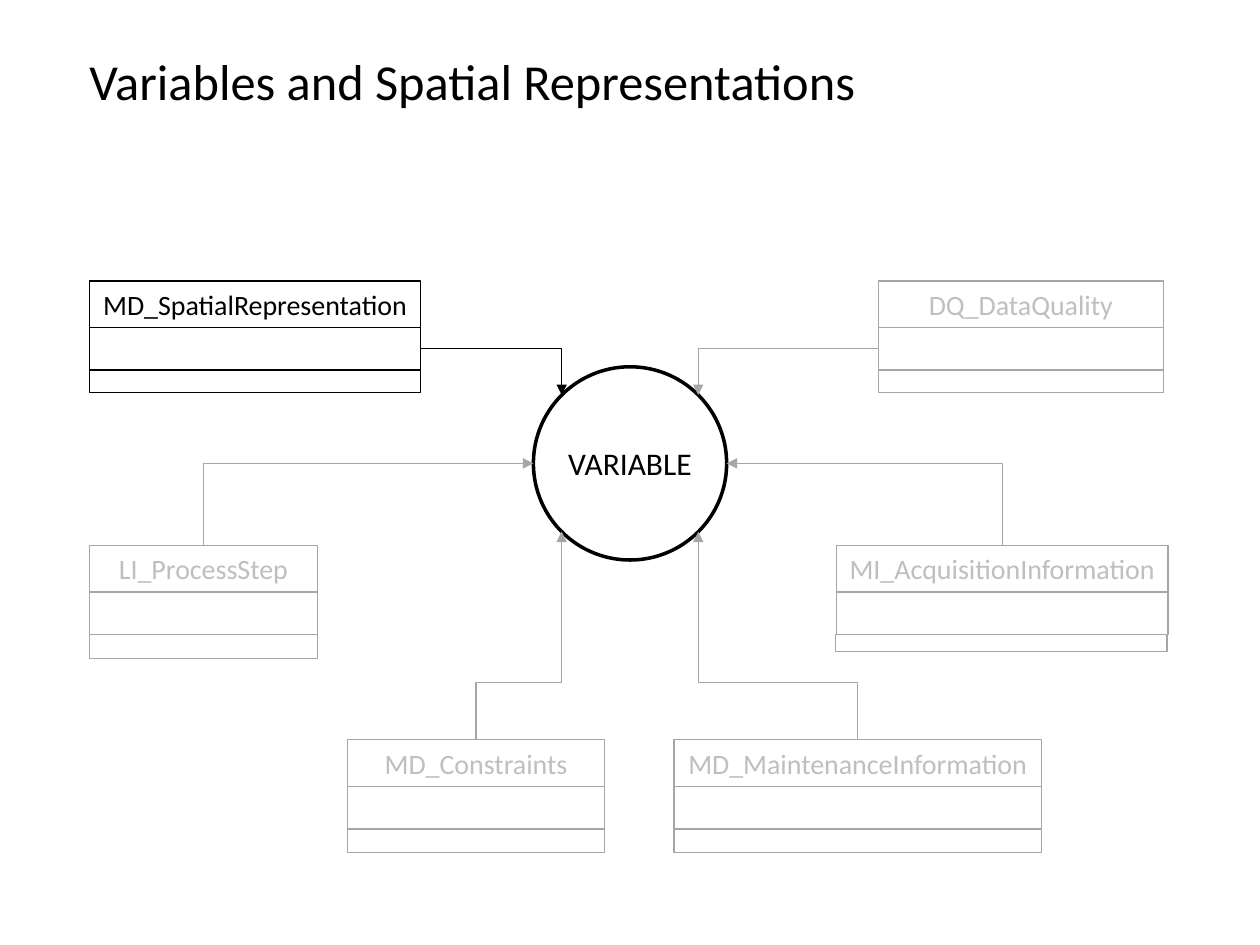
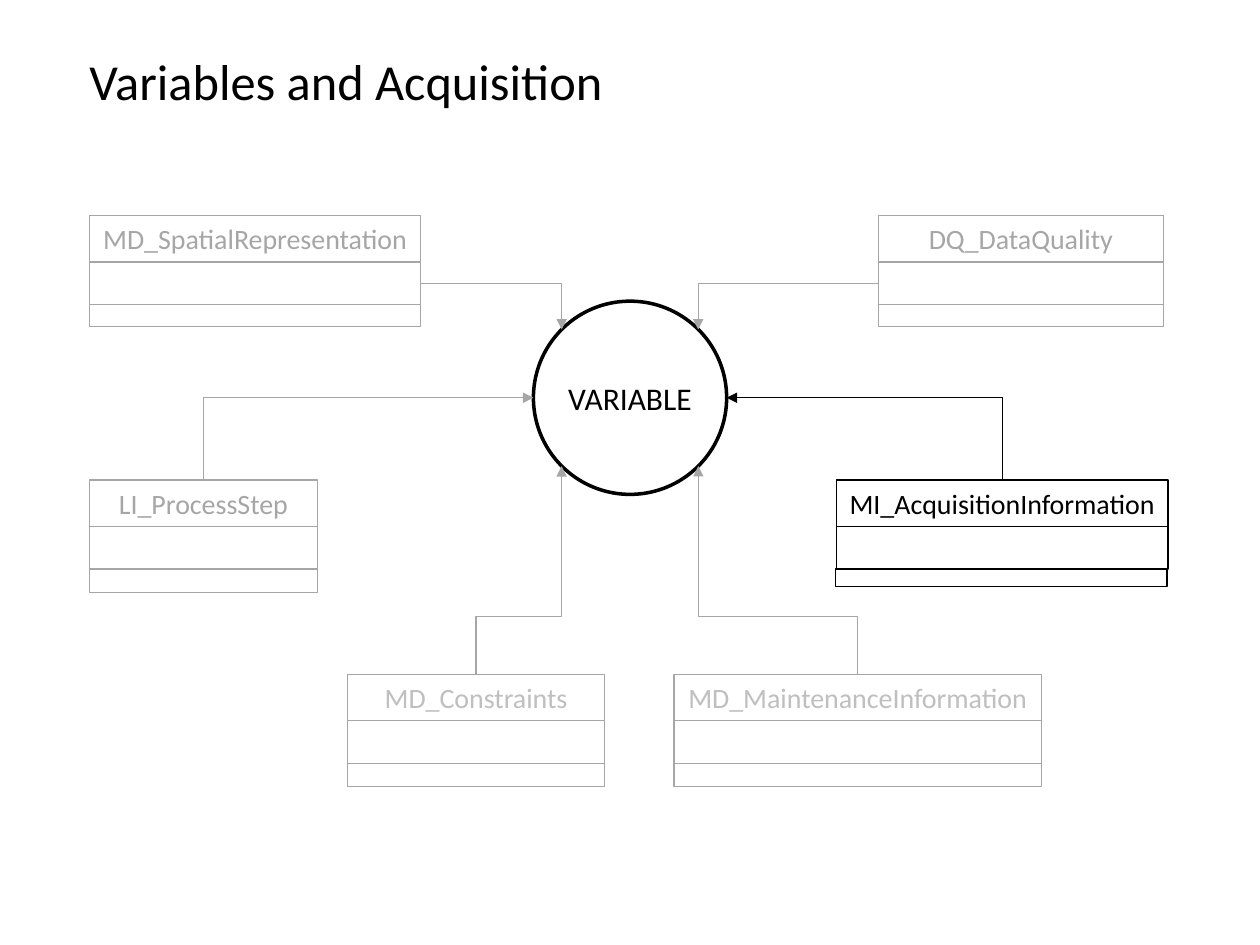
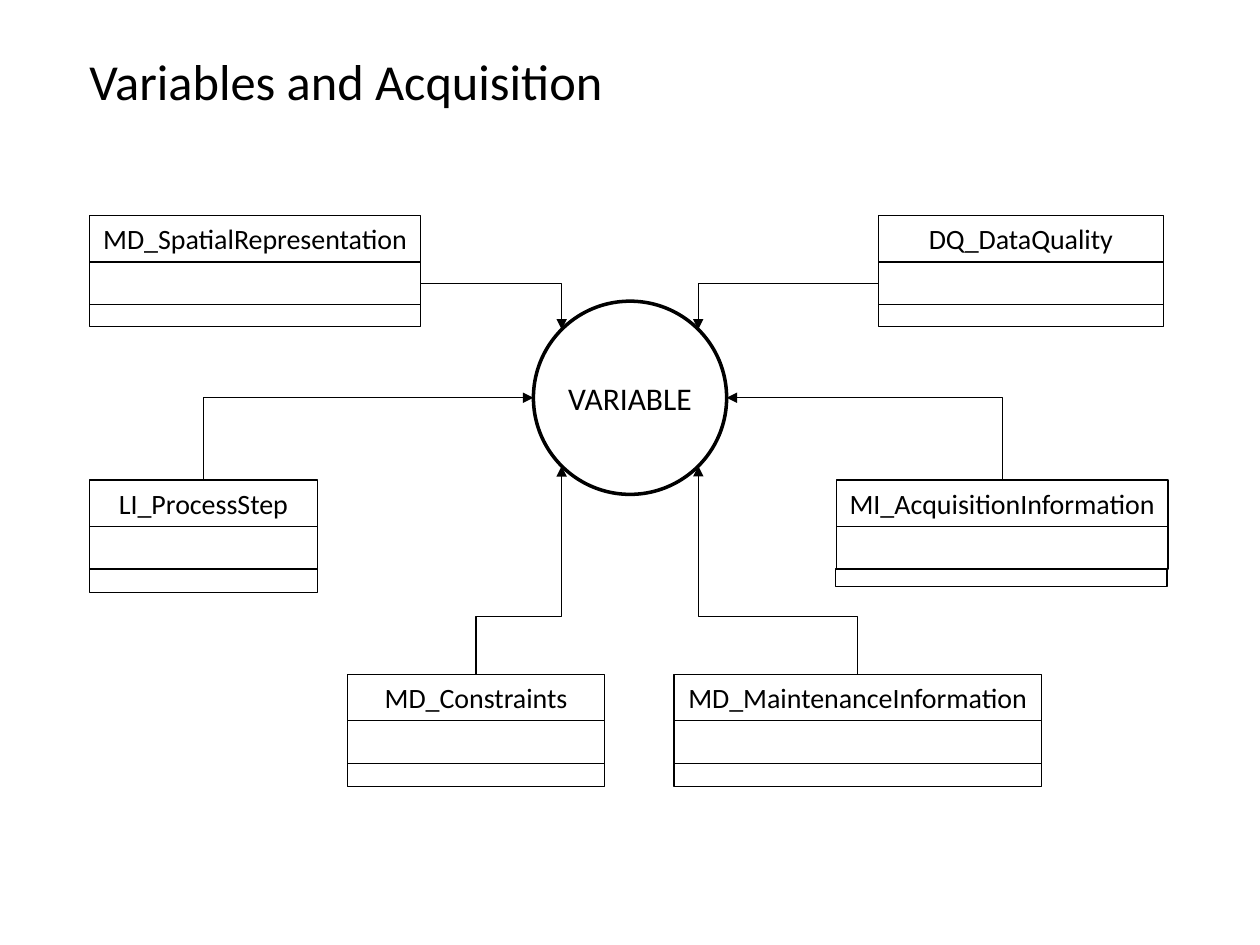
from math import sqrt

from lxml.etree import SubElement
from pptx import Presentation
from pptx.dml.color import RGBColor
from pptx.enum.shapes import MSO_CONNECTOR as Connector, MSO_SHAPE as Shape
from pptx.enum.text import MSO_ANCHOR as Anchor, MSO_AUTO_SIZE as AutoSize, PP_ALIGN as Align
from pptx.oxml.ns import qn
from pptx.util import Pt

BLACK = RGBColor(0x00, 0x00, 0x00)
GRAY = RGBColor(0xA6, 0xA6, 0xA6)
PALE = RGBColor(0xBF, 0xBF, 0xBF)
FONT = "Calibri"

# Class boxes: name -> left, top, width, footer height, footer shift
CLASSES = {
    "LI_ProcessStep": (51.1, 311.8, 130.3, 13.5, 0),
    "DQ_DataQuality": (502, 160.6, 162.8, 12.8, 0),
    "MD_SpatialRepresentation": (51.1, 160.6, 189.4, 12.8, 0),
    "MI_AcquisitionInformation": (478, 311.8, 189.4, 9.8, -0.5),
    "MD_MaintenanceInformation": (385.2, 422.8, 209.8, 13.5, 0),
    "MD_Constraints": (198.6, 422.8, 147, 13.5, 0),
}
HEADER_H, BODY_H = 26.6, 24.3

# Arrows: class -> side it leaves from, connection site on the circle
ARROWS = {
    "MD_SpatialRepresentation": ("right", 1),
    "LI_ProcessStep": ("top", 2),
    "MI_AcquisitionInformation": ("top", 6),
    "DQ_DataQuality": ("left", 7),
    "MD_MaintenanceInformation": ("top", 5),
    "MD_Constraints": ("top", 3),
}
RECT_SITES = {"top": 0, "left": 1, "right": 3}
DIAGONAL = sqrt(0.5)
CIRCLE_SITES = {1: (-DIAGONAL, -DIAGONAL), 2: (-1, 0), 3: (-DIAGONAL, DIAGONAL),
                5: (DIAGONAL, DIAGONAL), 6: (1, 0), 7: (DIAGONAL, -DIAGONAL)}
CENTER_X, CENTER_Y, RADIUS = 360, 264.8, 55.2

# Slides: title, upward shift of the diagram, highlighted classes, pale labels
SLIDES = [
    ("Variables and Spatial Representations", 0,
     {"MD_SpatialRepresentation"}, set(CLASSES)),
    ("Variables and Acquisition", 37.5,
     {"MI_AcquisitionInformation"}, {"MD_MaintenanceInformation", "MD_Constraints"}),
    ("Variables and Acquisition", 37.5, set(CLASSES), set()),
]


def write(frame, text, size, color, align):
    frame.text = text
    paragraph = frame.paragraphs[0]
    paragraph.alignment = align
    font = paragraph.runs[0].font
    font.name, font.size, font.color.rgb = FONT, Pt(size), color


def add_outline(shapes, preset, left, top, width, height, color, weight=0.75):
    outline = shapes.add_shape(preset, Pt(left), Pt(top), Pt(width), Pt(height))
    outline.shadow.inherit = False
    outline.fill.background()
    outline.line.color.rgb = color
    outline.line.width = Pt(weight)
    return outline


def add_title(slide, text):
    title = slide.shapes.title
    title.left, title.top, title.width, title.height = Pt(43.9), Pt(23.8), Pt(458), Pt(43.9)
    frame = title.text_frame
    write(frame, text, 28.8, BLACK, Align.LEFT)
    frame.vertical_anchor = Anchor.MIDDLE
    frame.auto_size = AutoSize.NONE


def add_variable(slide, center_y):
    circle = add_outline(slide.shapes, Shape.OVAL, CENTER_X - RADIUS, center_y - RADIUS,
                         2 * RADIUS, 2 * RADIUS, BLACK, 2)
    frame = circle.text_frame
    frame.margin_left = frame.margin_right = 0
    write(frame, "VARIABLE", 18, BLACK, Align.CENTER)
    return circle


def add_class(slide, name, shift, line_color, label_color):
    left, top, width, footer_h, footer_shift = CLASSES[name]
    top -= shift
    shapes = slide.shapes.add_group_shape().shapes
    header = add_outline(shapes, Shape.RECTANGLE, left, top, width, HEADER_H, line_color)
    frame = header.text_frame
    write(frame, name, 16, label_color, Align.CENTER)
    frame.vertical_anchor = Anchor.TOP
    frame.word_wrap = False
    frame.auto_size = AutoSize.SHAPE_TO_FIT_TEXT
    top += HEADER_H
    body = add_outline(shapes, Shape.RECTANGLE, left, top, width, BODY_H, line_color)
    add_outline(shapes, Shape.RECTANGLE, left + footer_shift, top + BODY_H,
                width, footer_h, line_color)
    return header, body


def add_arrow(slide, name, shift, header, body, circle, color):
    side, site = ARROWS[name]
    left, top, width = CLASSES[name][:3]
    upward = side == "top"
    if upward:
        x1, y1 = left + width / 2, top - shift
    else:
        x1 = left + width if side == "right" else left
        y1 = top - shift + HEADER_H + BODY_H / 2
    unit_x, unit_y = CIRCLE_SITES[site]
    x2, y2 = CENTER_X + RADIUS * unit_x, CENTER_Y - shift + RADIUS * unit_y

    arrow = slide.shapes.add_connector(Connector.ELBOW, Pt(x1), Pt(y1), Pt(x2), Pt(y2))
    arrow.line.color.rgb = color
    arrow.line.width = Pt(0.75)
    SubElement(arrow.line._get_or_add_ln(), qn("a:tailEnd"), type="triangle")
    properties = arrow._element.spPr
    SubElement(properties, qn("a:effectLst"))

    # An upward start is a rightward one turned by 270 degrees
    xfrm = properties.find(qn("a:xfrm"))
    for flip in ("flipH", "flipV"):
        xfrm.attrib.pop(flip, None)
    across, along = abs(x2 - x1), abs(y2 - y1)
    if upward:
        xfrm.set("rot", str(270 * 60000))
        across, along = along, across
    if x2 < x1:
        xfrm.set("flipV" if upward else "flipH", "1")
    arrow.left, arrow.top = Pt((x1 + x2 - across) / 2), Pt((y1 + y2 - along) / 2)
    arrow.width, arrow.height = Pt(across), Pt(along)

    # Two bends only where the arrow both starts and ends vertically
    geometry = properties.find(qn("a:prstGeom"))
    if site in (3, 5):
        guides = geometry.find(qn("a:avLst"))
        SubElement(guides, qn("a:gd"), name="adj1", fmla="val 27600")
    else:
        geometry.set("prst", "bentConnector2")

    # Attach both ends
    source = header if upward else body
    links = arrow._element.find(".//" + qn("p:cNvCxnSpPr"))
    SubElement(links, qn("a:stCxn"), id=str(source.shape_id), idx=str(RECT_SITES[side]))
    SubElement(links, qn("a:endCxn"), id=str(circle.shape_id), idx=str(site))


def main():
    deck = Presentation()
    deck.slide_width, deck.slide_height = Pt(720), Pt(540)
    for title, shift, highlighted, pale in SLIDES:
        slide = deck.slides.add_slide(deck.slide_layouts[5])
        add_title(slide, title)
        circle = add_variable(slide, CENTER_Y - shift)
        line_colors = {name: BLACK if name in highlighted else GRAY for name in CLASSES}
        boxes = {}
        for name, color in line_colors.items():
            label_color = PALE if name in pale - highlighted else color
            boxes[name] = add_class(slide, name, shift, color, label_color)
        for name in ARROWS:
            add_arrow(slide, name, shift, *boxes[name], circle, line_colors[name])
    deck.save("out.pptx")


if __name__ == "__main__":
    main()
